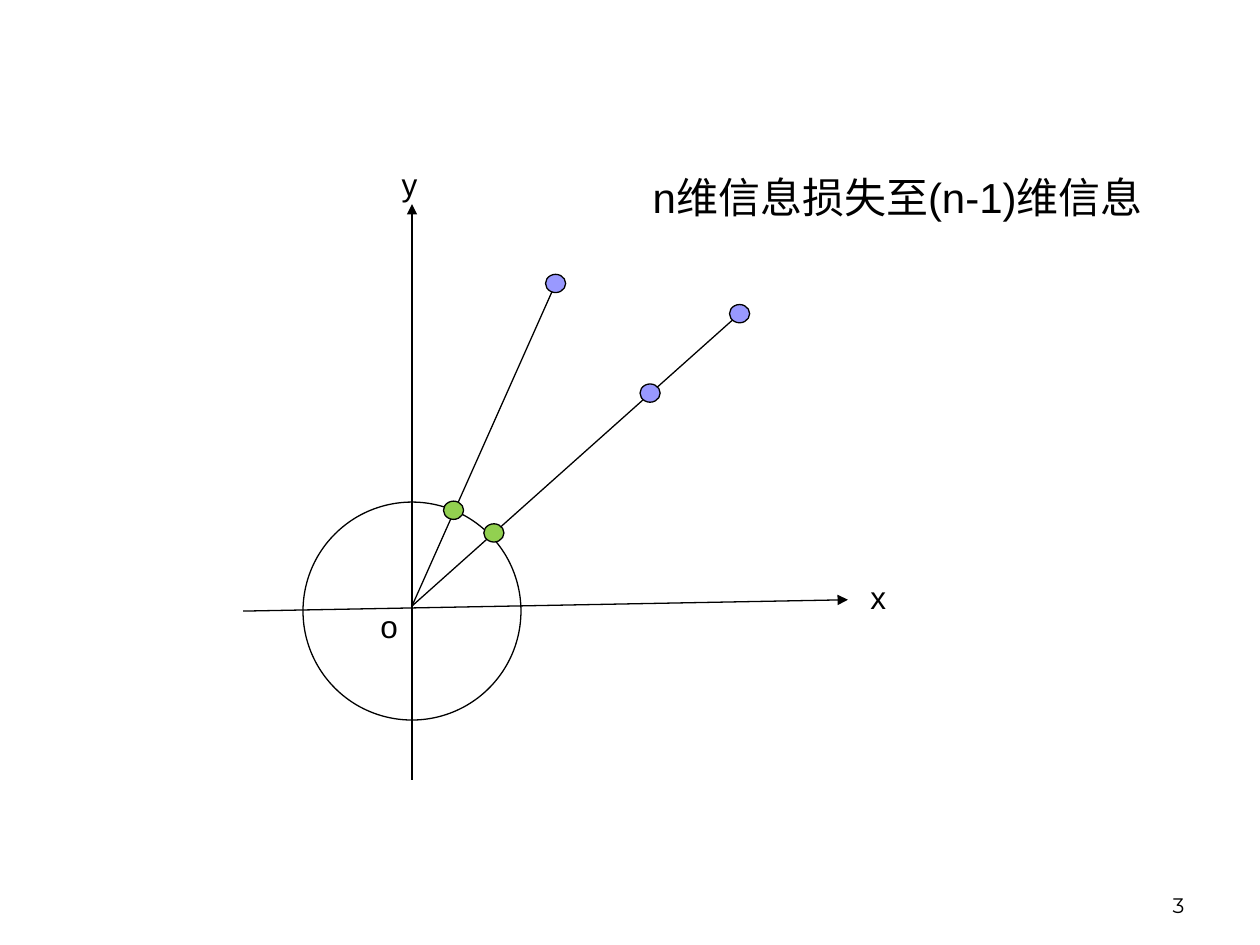
from collections import namedtuple

from pptx import Presentation
from pptx import util as u
from pptx.dml.color import RGBColor
from pptx.enum import shapes, text
from pptx.oxml.ns import qn
from lxml import etree

BLACK = RGBColor(0x00, 0x00, 0x00)
WHITE = RGBColor(0xFF, 0xFF, 0xFF)
VIOLET = RGBColor(0x99, 0x99, 0xFF)
GREEN = RGBColor(0x92, 0xD0, 0x50)

CELL = u.Inches(0.1)  # one column or row of the drawing grid
Box = namedtuple("Box", "left top width height")


def grid_box(left, top, width, height):
    return Box(*(u.Emu(round(cells * CELL)) for cells in (left, top, width, height)))


def within(box, column, row):
    """Turn a grid position inside a box into a position on the page."""
    return round(box.left + column * CELL), round(box.top + row * CELL)


def write(shape, words, size, font="Arial", align=text.PP_ALIGN.LEFT,
          anchor=text.MSO_ANCHOR.TOP):
    frame = shape.text_frame
    frame.text = words
    frame.word_wrap = True
    frame.auto_size = text.MSO_AUTO_SIZE.NONE
    frame.vertical_anchor = anchor
    para = frame.paragraphs[0]
    para.alignment = align
    span = para.runs[0]
    span.font.size = u.Pt(size)
    span.font.name = font
    span.font.color.rgb = BLACK


def add_line(page, box, start, end, arrow=False):
    line = page.shapes.add_connector(
        shapes.MSO_CONNECTOR.STRAIGHT, *within(box, *start), *within(box, *end))
    line.line.color.rgb = BLACK
    line.line.width = u.Pt(0.75)
    if arrow:
        etree.SubElement(line.line._get_or_add_ln(), qn("a:tailEnd"), type="triangle")
    etree.SubElement(line._element.spPr, qn("a:effectLst"))


def add_round(page, box, kind, centre, width, height, fill):
    column, row = centre
    left, top = within(box, column - width / 2, row - height / 2)
    shape = page.shapes.add_shape(
        kind, left, top, round(width * CELL), round(height * CELL))
    shape.shadow.inherit = False
    shape.fill.solid()
    shape.fill.fore_color.rgb = fill
    shape.line.color.rgb = BLACK
    shape.line.width = u.Pt(0.75)


def place_title(page, box):
    title = page.shapes.title
    title.left, title.top, title.width, title.height = box
    write(title, "n维信息损失至(n-1)维信息", 24)


def place_projection(page, box):
    """Points on rays from the origin, projected onto a circle."""
    origin = (13.7, 36.1)
    first_end, second_end = (25.1, 10.5), (39.7, 12.9)

    # Circle and axes
    add_round(page, box, shapes.MSO_SHAPE.OVAL, (13.7, 36.5), 17.3, 17.3, WHITE)
    add_line(page, box, (0.3, 36.5), (48.3, 35.6), arrow=True)
    add_line(page, box, (13.7, 49.9), (13.7, 4.2), arrow=True)

    # Rays
    for end in (first_end, second_end):
        add_line(page, box, origin, end)

    # Points and their projections
    points = [(first_end, VIOLET), (second_end, VIOLET), ((32.6, 19.2), VIOLET),
              ((17, 28.5), GREEN), ((20.2, 30.3), GREEN)]
    for centre, fill in points:
        add_round(page, box, shapes.MSO_SHAPE.FLOWCHART_CONNECTOR,
                  centre, 1.6, 1.45, fill)

    # Axis labels
    for name, column, row in [("x", 49.1, 33.4), ("y", 11.9, 0.6), ("o", 10.2, 35.7)]:
        label = page.shapes.add_textbox(
            *within(box, column, row), round(4.7 * CELL), 4 * CELL)
        write(label, name, 18)


def place_number(page, box):
    number = page.shapes.add_textbox(*box)
    write(number, "3", 12, "Montserrat", text.PP_ALIGN.RIGHT, text.MSO_ANCHOR.BOTTOM)


def main():
    deck = Presentation()
    deck.slide_width, deck.slide_height = u.Inches(10), u.Inches(7.5)
    page = deck.slides.add_slide(deck.slide_layouts.get_by_name("Title Only"))
    place_projection(page, grid_box(19, 12, 54, 50))
    place_title(page, grid_box(50.8, 13.1, 49.2, 5))
    place_number(page, grid_box(71.7, 68.3, 23.3, 5))
    deck.save("out.pptx")


if __name__ == "__main__":
    main()
